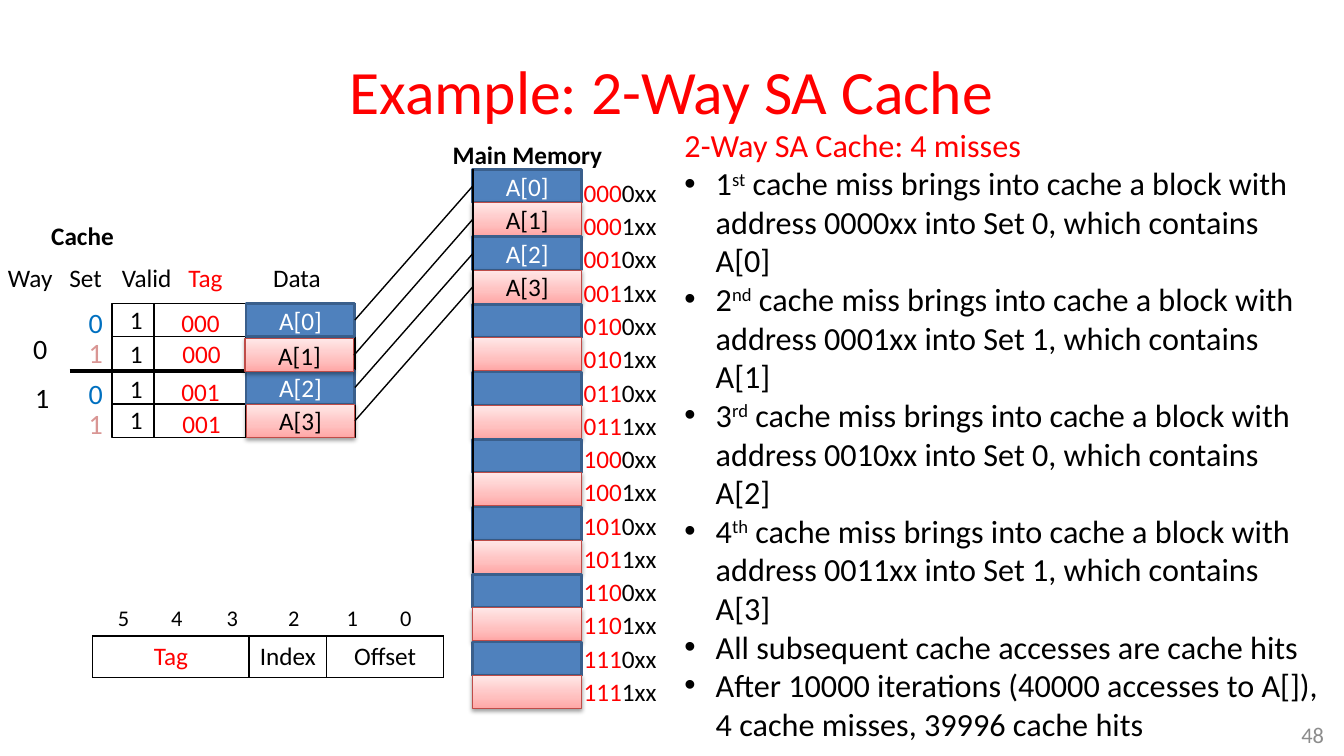
from copy import deepcopy
from lxml import etree
from pptx import Presentation, util as u
from pptx.dml.color import RGBColor
from pptx.enum import shapes, text
from pptx.oxml.ns import qn

PX = 9144
FONT = "Calibri"
COLORS = {"red": "FF0000", "black": "000000", "white": "FFFFFF", "blue": "4F81BD",
          "blue edge": "3A5F8C", "pink edge": "BF4C48", "set 0": "0070C0",
          "set 1": "D99694", "grey": "8C8C8C"}
PINK_STOPS = [(0, "FFA6A5"), (0.35, "FFC0BF"), (1, "FFE7E7")]

TITLE = "Example: 2-Way SA Cache"
SUMMARY = "2-Way SA Cache: 4 misses"
MISS = " cache miss brings into cache a block with address {} into Set {}, which contains {}"
MISSES = [("1", "st", "0000xx", 0, "A[0]"), ("2", "nd", "0001xx", 1, "A[1]"),
          ("3", "rd", "0010xx", 0, "A[2]"), ("4", "th", "0011xx", 1, "A[3]")]
OUTCOMES = ["All subsequent cache accesses are cache hits",
            "After 10000 iterations (40000 accesses to A[]), 4 cache misses, 39996 cache hits"]
ELEMENTS = ["A[0]", "A[1]", "A[2]", "A[3]"]
HEADINGS = [("Cache", 41, 214, 83, True, "black"), ("Main Memory", 439, 133, 170, True, "black"),
            ("Way", -2, 255, 65, False, "black"), ("Set", 59, 255, 53, False, "black"),
            ("Valid", 111, 255, 70, False, "black"), ("Tag", 177, 255, 54, False, "red"),
            ("Data", 261, 255, 68, False, "black")]
WAYS = [("0", 23, 324), ("1", 25, 373)]
SET_TOPS = [298, 328, 369, 398]
CACHE_COLUMNS = [(244, 108), (111, 42), (152, 92)]
CACHE_ROWS = [(0, "000", 244, 301, 297, 300), (2, "001", 244, 368, 365, 368),
              (1, "000", 243, 336, 331, 331), (3, "001", 244, 401, 396, 400)]
BITS = [("5", 107), ("4", 160), ("3", 215), ("2", 276), ("1", 334), ("0", 387)]
FIELDS = [("Tag", 155, "red"), ("Index", 77, "black"), ("Offset", 116, "black")]

CACHE_TOP, CACHE_HEIGHT = 301, 133
MEMORY_LEFT, MEMORY_TOP, MEMORY_ROWS = 469, 168, 16
MEMORY_SPLIT, MEMORY_END = 568, 701
BLOCK_WIDTH, BLOCK_HEIGHT = 108, 33

deck = Presentation()
deck.slide_width, deck.slide_height = 1333 * PX, 750 * PX
slide = deck.slides.add_slide(deck.slide_layouts[6])


def rgb(name):
    return RGBColor.from_string(COLORS[name])


def box(*place):
    return [round(n) * PX for n in place]


def add_run(paragraph, words, size, color, bold=False, raised=False):
    run = paragraph.add_run()
    run.text = words
    font = run.font
    font.name, font.size, font.bold = FONT, u.Pt(size), bold
    font.color.rgb = rgb(color)
    if raised:
        font._element.set("baseline", "30000")


def text_frame(place, wrap=False, middle=False, grow=True):
    frame = slide.shapes.add_textbox(*box(*place)).text_frame
    frame.word_wrap = wrap
    frame.auto_size = text.MSO_AUTO_SIZE.SHAPE_TO_FIT_TEXT if grow else text.MSO_AUTO_SIZE.NONE
    frame.vertical_anchor = text.MSO_ANCHOR.MIDDLE if middle else text.MSO_ANCHOR.TOP
    return frame


def label(words, place, size=18, color="black", bold=False, **layout):
    paragraph = text_frame(place, **layout).paragraphs[0]
    add_run(paragraph, words, size, color, bold)
    return paragraph


def line(x1, y1, x2, y2, width=1):
    connector = slide.shapes.add_connector(shapes.MSO_CONNECTOR.STRAIGHT, *box(x1, y1, x2, y2))
    connector.line.color.rgb = rgb("black")
    connector.line.width = u.Pt(width)
    etree.SubElement(connector._element.spPr, qn("a:effectLst"))
    return connector


def rectangle(place, edge="black", width=1):
    shape = slide.shapes.add_shape(shapes.MSO_SHAPE.RECTANGLE, *box(*place))
    shape.shadow.inherit = False
    shape.fill.background()
    shape.line.color.rgb = rgb(edge)
    shape.line.width = u.Pt(width)
    return shape


def paint_pink(shape):
    shape.fill.gradient()
    shape.fill.gradient_angle = 90
    stops = shape._element.spPr.find(".//" + qn("a:gsLst"))
    stops.insert(1, deepcopy(stops[0]))
    for stop, (position, color) in zip(shape.fill.gradient_stops, PINK_STOPS):
        stop.position = position
        stop.color.rgb = RGBColor.from_string(color)
    effects = shape._element.spPr.find(qn("a:effectLst"))
    shadow = etree.SubElement(effects, qn("a:outerShdw"), blurRad="40000", dist="20000",
                              dir="5400000", rotWithShape="0")
    shade = etree.SubElement(shadow, qn("a:srgbClr"), val=COLORS["black"])
    etree.SubElement(shade, qn("a:alpha"), val="38000")


def block(left, top, index):
    place = (left, top, BLOCK_WIDTH, BLOCK_HEIGHT)
    if index % 2:
        shape, color = rectangle(place, "pink edge", 0.75), "black"
        paint_pink(shape)
    else:
        shape, color = rectangle(place, "blue edge", 2), "white"
        shape.fill.solid()
        shape.fill.fore_color.rgb = rgb("blue")
    if index < len(ELEMENTS):
        frame = shape.text_frame
        frame.word_wrap = False
        frame.vertical_anchor = text.MSO_ANCHOR.MIDDLE
        frame.paragraphs[0].alignment = text.PP_ALIGN.CENTER
        add_run(frame.paragraphs[0], ELEMENTS[index], 18, color)
    return shape


def bullet(frame):
    paragraph = frame.add_paragraph()
    properties = paragraph._p.get_or_add_pPr()
    properties.set("marL", str(31 * PX))
    properties.set("indent", str(-31 * PX))
    etree.SubElement(properties, qn("a:buFont"), typeface="Arial")
    etree.SubElement(properties, qn("a:buChar"), char="•")
    return paragraph


label(TITLE, (40, 27, 1252, 125), 44, "red", wrap=True, middle=True,
      grow=False).alignment = text.PP_ALIGN.CENTER

notes = text_frame((669, 119, 649, 629), wrap=True)
add_run(notes.paragraphs[0], SUMMARY, 23, "red")
for number, suffix, *details in MISSES:
    paragraph = bullet(notes)
    add_run(paragraph, number, 23, "black")
    add_run(paragraph, suffix, 23, "black", raised=True)
    add_run(paragraph, MISS.format(*details), 23, "black")
for outcome in OUTCOMES:
    add_run(bullet(notes), outcome, 23, "black")

for words, left, top, width, bold, color in HEADINGS:
    label(words, (left, top, width, 40), color=color, bold=bold)

for row in range(MEMORY_ROWS):
    y = MEMORY_TOP + row * 100 / 3
    line(MEMORY_LEFT, y, MEMORY_LEFT + BLOCK_WIDTH, y)
memory_middle = MEMORY_LEFT + BLOCK_WIDTH / 2
for end in (MEMORY_TOP, MEMORY_END):
    line(memory_middle, end, memory_middle, MEMORY_SPLIT)
memory = [block(MEMORY_LEFT, MEMORY_TOP + row * 502 / 15, row) for row in range(MEMORY_ROWS)]
line(MEMORY_LEFT, MEMORY_TOP, MEMORY_LEFT, MEMORY_SPLIT)

addresses = text_frame((569, 168, 108, 543), wrap=True)
for row in range(MEMORY_ROWS):
    paragraph = addresses.add_paragraph() if row else addresses.paragraphs[0]
    paragraph.line_spacing = 1.1
    bits = format(row, "04b")
    add_run(paragraph, bits[:3], 18, "red")
    add_run(paragraph, bits[3] + "xx", 18, "black")

for left, width in CACHE_COLUMNS:
    rectangle((left, CACHE_TOP, width, CACHE_HEIGHT))
    for row in (1, 2, 3):
        y = CACHE_TOP + row * CACHE_HEIGHT / 4
        line(left, y, left + width, y)
line(69, 368, 352, 368, 2.25)

for way, left, top in WAYS:
    label(way, (left, top, 34, 44), 20)
for row, top in enumerate(SET_TOPS):
    label(str(row % 2), (78, top, 34, 44), 20, f"set {row % 2}")

for index, tag, left, top, valid_top, tag_top in CACHE_ROWS:
    label("1", (119, valid_top, 33, 40))
    label(tag, (170 + index % 2, tag_top, 59, 40), color="red")
    cached = block(left, top, index)
    link = line(MEMORY_LEFT, top, left + BLOCK_WIDTH, top)
    link.begin_connect(memory[index], 1)
    link.end_connect(cached, 3)

for bit, left in BITS:
    label(bit, (left, 594, 30, 37), 16)

fields = slide.shapes.add_table(1, len(FIELDS), *box(92, 631, 348, 41)).table
for column, (field, width, color) in enumerate(FIELDS):
    fields.columns[column].width = width * PX
    cell = fields.cell(0, column)
    cell.fill.background()
    paragraph = cell.text_frame.paragraphs[0]
    paragraph.alignment = text.PP_ALIGN.CENTER
    add_run(paragraph, field, 18, color)
    for order, side in enumerate(("lnL", "lnR", "lnT", "lnB")):
        border = etree.Element(qn("a:" + side), w="12700")
        paint = etree.SubElement(border, qn("a:solidFill"))
        etree.SubElement(paint, qn("a:srgbClr"), val=COLORS["black"])
        cell._tc.get_or_add_tcPr().insert(order, border)

label("48", (1256, 708, 67, 42), 16, "grey", wrap=True, middle=True,
      grow=False).alignment = text.PP_ALIGN.RIGHT

deck.save("out.pptx")
